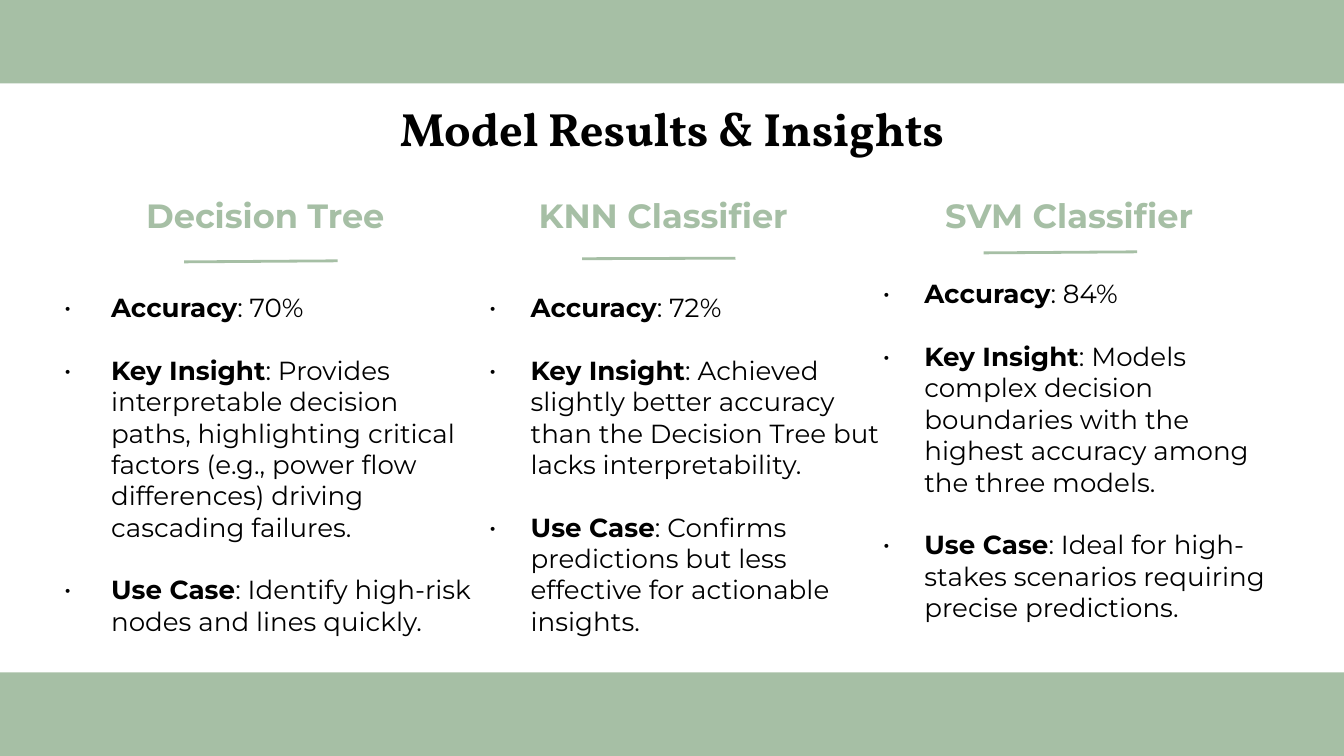
import pptx
import pptx.dml.color
import pptx.enum.shapes
import pptx.enum.text
import pptx.oxml.ns
import pptx.util
from lxml import etree
from pptx.util import Cm

HUES = {"sage": "A6BFA5", "ink": "000000"}
WIDE, HIGH, BAND = 25.4, 14.29, 1.58
KEYS = ["Accuracy", "Key Insight", "Use Case"]
MODELS = [
    {
        "name": "Decision Tree",
        "head": (1.8, 3.25, 6.43, 1.45),
        "rule": (3.48, 4.95, 6.38, 4.93),
        "body": (0.58, 5.26, 8.71, 3.8),
        "dent": (1.27, 0.89),
        "facts": [
            "70%",
            "Provides interpretable decision paths, highlighting critical "
            "factors (e.g., power flow differences) driving cascading failures.",
            "Identify high-risk nodes and lines quickly.",
        ],
    },
    {
        "name": "KNN Classifier",
        "head": (9.32, 3.25, 6.43, 1.45),
        "rule": (11, 4.89, 13.9, 4.88),
        "body": (8.99, 5.26, 8.03, 3.8),
        "dent": (0.79, 0.79),
        "facts": [
            "72%",
            "Achieved slightly better accuracy than the Decision Tree "
            "but lacks interpretability.",
            "Confirms predictions but less effective for actionable insights.",
        ],
    },
    {
        "name": "SVM Classifier",
        "head": (16.99, 3.25, 6.43, 1.45),
        "rule": (18.59, 4.78, 21.49, 4.76),
        "body": (16.43, 5, 8.05, 3.8),
        "dent": (0.79, 0.79),
        "facts": [
            "84%",
            "Models complex decision boundaries with the highest accuracy "
            "among the three models.",
            "Ideal for high-stakes scenarios requiring precise predictions.",
        ],
    },
]


def tint(hue):
    """Return the named colour."""
    return pptx.dml.color.RGBColor.from_string(HUES[hue])


def style(font, face, size, hue, bold):
    """Set the look of a font."""
    font.name, font.size, font.bold = face, pptx.util.Pt(size), bold
    font.color.rgb = tint(hue)


def frame(slide, box):
    """Add a wrapping text box and return its text frame."""
    text = slide.shapes.add_textbox(*map(Cm, box)).text_frame
    text.word_wrap = True
    text.margin_left = text.margin_right = Cm(0.25)
    text.margin_top = text.margin_bottom = Cm(0.25)
    return text


def band(slide, box):
    """Draw a plain colour band."""
    shape = slide.shapes.add_shape(
        pptx.enum.shapes.MSO_SHAPE.RECTANGLE, *map(Cm, box))
    shape.shadow.inherit = False
    shape.fill.solid()
    shape.fill.fore_color.rgb = tint("sage")
    shape.line.fill.background()


def title(slide, box, words, face, size, hue, low=False):
    """Write one centred bold line, at the foot of the box if low."""
    text = frame(slide, box)
    if low:
        text.vertical_anchor = pptx.enum.text.MSO_ANCHOR.BOTTOM
    line = text.paragraphs[0]
    line.text = words
    line.alignment = pptx.enum.text.PP_ALIGN.CENTER
    style(line.runs[0].font, face, size, hue, True)


def rule(slide, ends):
    """Draw the thin line under a heading."""
    line = slide.shapes.add_connector(
        pptx.enum.shapes.MSO_CONNECTOR.STRAIGHT, *map(Cm, ends))
    line.line.color.rgb = tint("sage")
    line.line.width = pptx.util.Pt(1.5)
    etree.SubElement(line._element.spPr, pptx.oxml.ns.qn("a:effectLst"))


def bullet(line, dent):
    """Give a paragraph a hanging bullet."""
    left, hang = dent
    props = line._p.get_or_add_pPr()
    props.set("marL", str(Cm(left)))
    props.set("indent", str(-Cm(hang)))
    qn = pptx.oxml.ns.qn
    hue = etree.SubElement(props, qn("a:buClr"))
    etree.SubElement(hue, qn("a:srgbClr"), val=HUES["ink"])
    etree.SubElement(props, qn("a:buFont"), typeface="Montserrat")
    etree.SubElement(props, qn("a:buChar"), char="•")


def points(slide, box, facts, dent):
    """List the facts with bold keys."""
    text = frame(slide, box)
    for at, (key, fact) in enumerate(zip(KEYS, facts)):
        line = text.paragraphs[0] if at == 0 else text.add_paragraph()
        bullet(line, dent)
        if at:
            line.space_before = pptx.util.Pt(16.8)
        for words, bold in ((key, True), (": " + fact, False)):
            run = line.add_run()
            run.text = words
            style(run.font, "Montserrat", 14, "ink", bold)


def column(slide, model):
    """Place the heading, rule and facts of one model."""
    title(slide, model["head"], model["name"], "Montserrat", 18, "sage", True)
    points(slide, model["body"], model["facts"], model["dent"])
    rule(slide, model["rule"])


def main():
    """Build and save the slide."""
    deck = pptx.Presentation()
    deck.slide_width, deck.slide_height = Cm(WIDE), Cm(HIGH)
    slide = deck.slides.add_slide(deck.slide_layouts[6])
    for top in (0, HIGH - BAND):
        band(slide, (0, top, WIDE, BAND))
    title(slide, (1.98, 1.63, 21.44, 1.52), "Model Results & Insights",
          "Vollkorn", 25, "ink")
    for model in MODELS:
        column(slide, model)
    deck.save("out.pptx")


if __name__ == "__main__":
    main()
